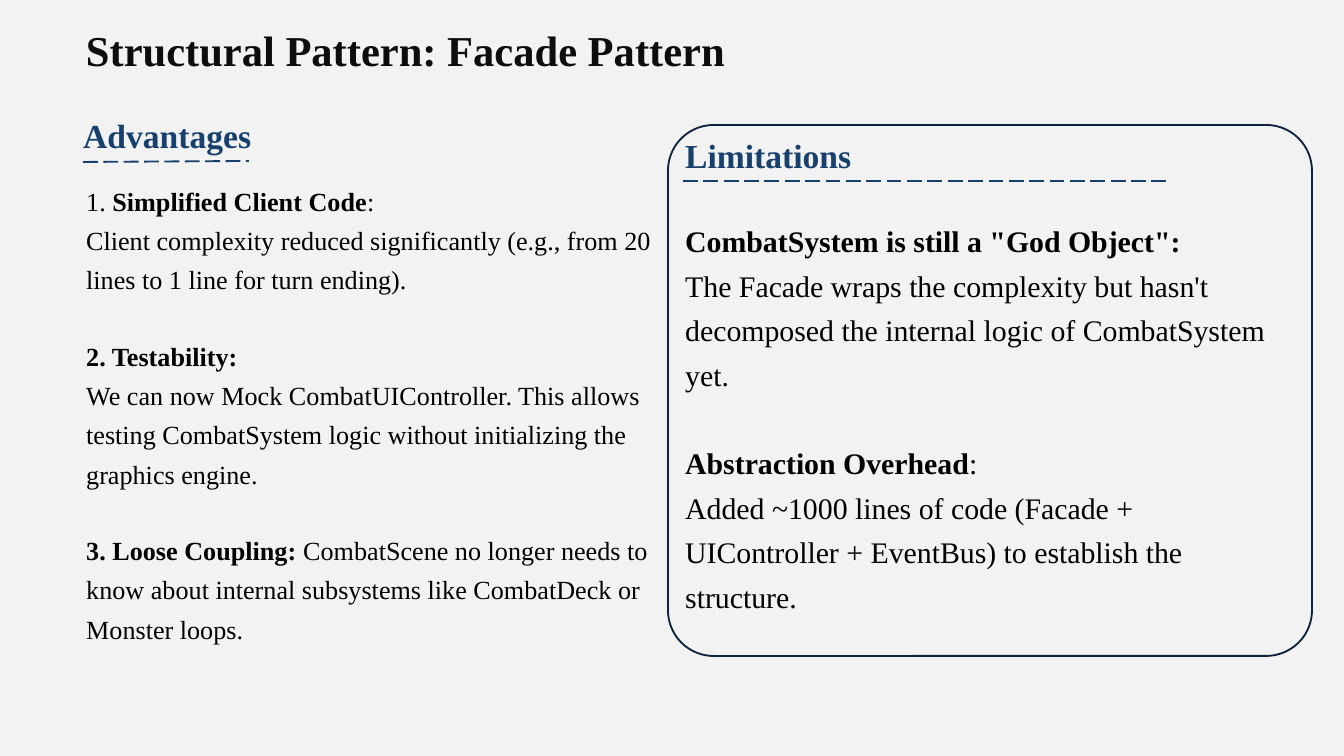
"""Build the slide on advantages and limitations of the facade pattern."""
from lxml.etree import SubElement
from pptx import Presentation
from pptx.dml.color import RGBColor
from pptx.enum.dml import MSO_LINE
from pptx.enum.shapes import MSO_CONNECTOR, MSO_SHAPE
from pptx.enum.text import MSO_ANCHOR, MSO_AUTO_SIZE, PP_ALIGN
from pptx.oxml.ns import qn
from pptx.util import Emu, Pt

SCALE = 914400 / 134.4


def px(*lengths):
    return [Emu(round(length * SCALE)) for length in lengths]


def add_run(paragraph, text, size, color, bold):
    run = paragraph.add_run()
    run.text = text
    values = {"name": "Times New Roman", "size": Pt(size), "bold": bold}
    for name, value in values.items():
        setattr(run.font, name, value)
    run.font.color.rgb = RGBColor.from_string(color)


presentation = Presentation()
presentation.slide_width, presentation.slide_height = px(1344, 756)
slide = presentation.slides.add_slide(presentation.slide_layouts[5])
slide.background.fill.solid()
slide.background.fill.fore_color.rgb = RGBColor.from_string("F2F2F2")

title = slide.shapes.title
title.left, title.top, title.width, title.height = px(86, 24, 866, 51)
title_format = {
    "margin_left": 0, "margin_top": 0, "margin_right": 0, "margin_bottom": 0,
    "vertical_anchor": MSO_ANCHOR.MIDDLE, "word_wrap": True,
    "auto_size": MSO_AUTO_SIZE.SHAPE_TO_FIT_TEXT,
}
for name, value in title_format.items():
    setattr(title.text_frame, name, value)
title_paragraph = title.text_frame.paragraphs[0]
title_paragraph.alignment = PP_ALIGN.LEFT
add_run(title_paragraph, "Structural Pattern: Facade Pattern", 22.8, "0D0D0D", True)

panel = slide.shapes.add_shape(MSO_SHAPE.ROUNDED_RECTANGLE, *px(668, 125, 644, 531))
panel.adjustments[0] = 0.086
panel.shadow.inherit = False
panel.fill.background()
panel.line.color.rgb = RGBColor.from_string("0D243D")
panel.line.width = Pt(1)

headings = [
    ("Limitations", (672, 128, 515, 54), (683, 181, 1169, 181)),
    ("Advantages", (70, 108, 333, 54), (83, 162, 249, 161)),
]
for text, box, ends in headings:
    heading = slide.shapes.add_textbox(*px(*box))
    heading.text_frame.word_wrap = True
    add_run(heading.text_frame.paragraphs[0], text, 18, "17406D", True)
    underline = slide.shapes.add_connector(MSO_CONNECTOR.STRAIGHT, *px(*ends))
    underline.line.color.rgb = RGBColor.from_string("17406D")
    underline.line.width = Pt(1)
    underline.line.dash_style = MSO_LINE.LONG_DASH
    SubElement(underline.element.spPr, qn("a:effectLst"))

advantages = [
    [[("1. ", False), ("Simplified Client Code", True), (":", False)],
     [("Client complexity reduced significantly (e.g., from 20 lines to 1 line "
       "for turn ending).", False)]],
    [[("2. Testability:", True)],
     [("We can now Mock CombatUIController. This allows testing CombatSystem logic "
       "without initializing the graphics engine.", False)]],
    [[("3. Loose Coupling: ", True),
      ("CombatScene no longer needs to know about internal subsystems like "
       "CombatDeck or Monster loops.", False)]],
]
limitations = [
    [[('CombatSystem is still a "God Object":', True)],
     [("The Facade wraps the complexity but hasn't decomposed the internal logic "
       "of CombatSystem yet.", False)]],
    [[("Abstraction Overhead", True), (":", False)],
     [("Added ~1000 lines of code (Facade + UIController + EventBus) to establish "
       "the structure.", False)]],
]
bodies = [
    (advantages, (73, 171, 599, 536), 14, 20),
    (limitations, (672, 207, 620, 410), 16, 23),
]
for points, box, size, gap in bodies:
    body = slide.shapes.add_textbox(*px(*box))
    frame = body.text_frame
    frame.word_wrap = True
    for point_index, point in enumerate(points):
        for line_index, runs in enumerate(point):
            is_first = point_index == line_index == 0
            paragraph = frame.paragraphs[0] if is_first else frame.add_paragraph()
            paragraph.line_spacing = 1.25
            if point_index and line_index == 0:
                paragraph.space_before = Pt(gap)
            for text, bold in runs:
                add_run(paragraph, text, size, "000000", bold)

presentation.save("out.pptx")
